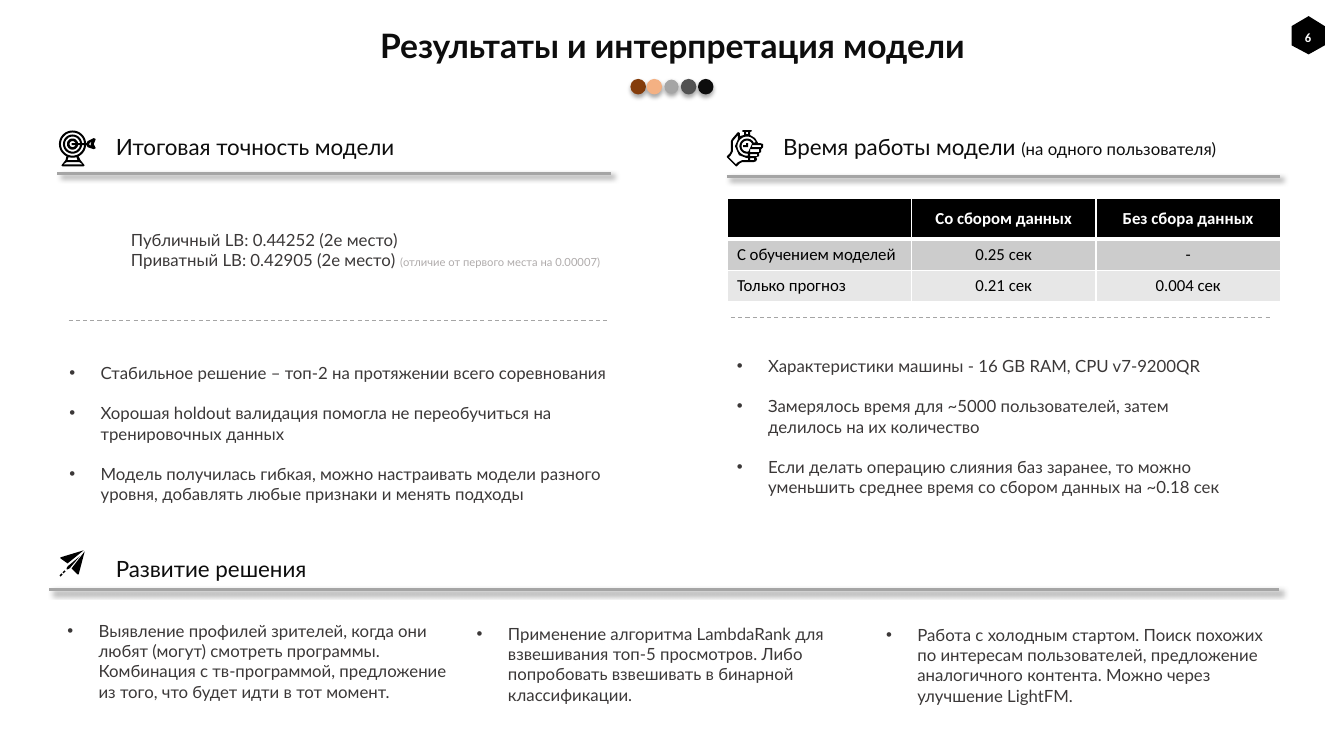
from collections import namedtuple
from math import cos, radians, sin

from lxml.etree import SubElement
from pptx import Presentation
from pptx.dml.color import RGBColor
from pptx.enum.dml import MSO_LINE
from pptx.enum.shapes import MSO_CONNECTOR, MSO_SHAPE
from pptx.enum.text import MSO_ANCHOR as ANCHOR, PP_ALIGN as ALIGN
from pptx.oxml.ns import qn
from pptx.util import Pt

PX = 9144
BLACK = RGBColor(0x00, 0x00, 0x00)
WHITE = RGBColor(0xFF, 0xFF, 0xFF)
INK = RGBColor(0x0D, 0x0D, 0x0D)
BODY = RGBColor(0x3B, 0x38, 0x38)
MUTED = RGBColor(0xAF, 0xAB, 0xAB)
GRAY = RGBColor(0xA5, 0xA5, 0xA5)
DOTS = [RGBColor(0x84, 0x3C, 0x0B), RGBColor(0xF4, 0xB1, 0x83), GRAY,
        RGBColor(0x52, 0x52, 0x52), INK]
ROW_FILLS = [BLACK, RGBColor(0xCC, 0xCC, 0xCC), RGBColor(0xE7, 0xE7, 0xE7)]

Box = namedtuple("Box", "left top width height")


def emu(box):
    """Turn a box in px into EMU lengths."""
    return [length * PX for length in box]


def arc(x, y, radius, start=0, end=350):
    """Return points along an arc, ten degrees or so apart."""
    steps = max(1, abs(end - start) // 10)
    angles = [radians(start + (end - start) * i / steps) for i in range(steps + 1)]
    return [(x + radius * cos(a), y + radius * sin(a)) for a in angles]


def bar(left, top, right, bottom):
    """Return the corners of a rectangle."""
    return [(left, top), (right, top), (right, bottom), (left, bottom)]


TARGET = [
    [arc(13, 14, r) for r in (13.5, 11.5, 9.5, 7.5, 5.5, 3)],
    [[(12, 13), (27, 13), (28, 11), (34, 8), (36, 9), (34, 14), (36, 18), (34, 19),
      (28, 17), (27, 15), (12, 15)], [(32, 11), (29, 14), (32, 16), (31, 14)]],
    [[(7, 26), (19, 26), (21, 30), (25, 35), (24, 36), (3, 36), (2, 35), (6, 30)],
     [(9, 27), (17, 27), (18, 30), (8, 30)], [(7, 32), (20, 32), (23, 34), (4, 34)]],
]
STOPWATCH = [[
    [(16, 0), (15, 1), (16, 2), (17, 2), (17, 5), (13, 6), (13, 3), (11, 2), (5, 9),
     (4, 11), (4, 21), (3, 23), (0, 26), (0, 27), (9, 36), (10, 36), (13, 33),
     (15, 32), (26, 32), (29, 31), (30, 29), (29, 27), (32, 26), (32, 23), (34, 22),
     (34, 19), (36, 17), (36, 14), (33, 13), (31, 13), (28, 8), (23, 5), (23, 2),
     (25, 1), (24, 0)],
    bar(19, 2, 21, 4), bar(25, 15, 34, 17), bar(23, 19, 32, 22), bar(23, 24, 30, 26),
    bar(23, 28, 27, 30),
    arc(20, 16, 9.5, -25, -275) + arc(20, 16, 7.5, -275, -25),
    arc(20, 16, 5.5, 75, 335),
    [(19, 13), (21, 13), (21, 17), (16, 17), (16, 15), (19, 15)],
    [(11, 5), (11, 9), (8, 16), (12, 25), (20, 28), (21, 28), (21, 30), (15, 30),
     (11, 32), (9, 34), (2, 27), (4, 25), (6, 21), (6, 11)],
]]
PLANE = [[
    [(24, -2), (1, 5), (1, 6), (8, 11)],
    [(25, -1), (12, 16), (18, 22), (19, 22)],
    [(20, 4), (8, 14), (7, 16), (7, 17), (8, 17), (10, 16)],
    [(2, 21), (0, 23), (1, 24), (3, 22)],
    [(5, 18), (3, 20), (4, 21), (6, 19)],
]]


def cast_shadow(part, alpha, blur, distance, angle):
    """Give a shape or connector an outer shadow."""
    effects = SubElement(part._element.spPr, qn("a:effectLst"))
    shadow = SubElement(effects, qn("a:outerShdw"), blurRad=str(Pt(blur)),
                        dist=str(Pt(distance)), dir=str(angle * 60000), rotWithShape="0")
    black = SubElement(shadow, qn("a:srgbClr"), val="000000")
    SubElement(black, qn("a:alpha"), val=str(alpha * 1000))


def add_outline(slide, left, top, contours):
    """Draw black closed contours, given in px from left and top."""
    builder = None
    for contour in contours:
        points = [((left + x) * 10, (top + y) * 10) for x, y in contour]
        if builder is None:
            builder = slide.shapes.build_freeform(*points[0], scale=PX / 10)
        else:
            builder.move_to(*points[0])
        builder.add_line_segments(points[1:], close=True)
    outline = builder.convert_to_shape()
    outline.fill.solid()
    outline.fill.fore_color.rgb = BLACK
    outline.line.fill.background()
    outline.shadow.inherit = False
    return outline


def style(run, size, color, bold=False, font="Lato"):
    """Set the font of a run."""
    run.font.name, run.font.size, run.font.bold = font, Pt(size), bold
    run.font.color.rgb = color


def add_text(slide, box, paragraphs, anchor=ANCHOR.TOP, spacing=None):
    """Place paragraphs, each a list of (text, size, color) runs."""
    frame = slide.shapes.add_textbox(*emu(box)).text_frame
    frame.word_wrap, frame.vertical_anchor = True, anchor
    for i, runs in enumerate(paragraphs):
        paragraph = frame.add_paragraph() if i else frame.paragraphs[0]
        paragraph.line_spacing = spacing
        for text, size, color in runs:
            run = paragraph.add_run()
            run.text = text
            style(run, size, color)
    return frame


def add_bullets(slide, box, points):
    """Place a bulleted list with a line's gap between points."""
    frame = add_text(slide, box, [[(point, 12, BODY)] for point in points])
    for i, paragraph in enumerate(frame.paragraphs):
        paragraph.space_before = Pt(14.4 if i else 0)
        props = paragraph._p.get_or_add_pPr()
        props.set("marL", str(31 * PX))
        props.set("indent", str(-31 * PX))
        SubElement(props, qn("a:buFont"), typeface="Arial")
        SubElement(props, qn("a:buChar"), char="•")


def add_rule(slide, left, top, width, dashed=False):
    """Draw a thin dashed divider or a thick shadowed rule."""
    rule = slide.shapes.add_connector(MSO_CONNECTOR.STRAIGHT, left * PX, top * PX,
                                      (left + width) * PX, top * PX)
    rule.line.color.rgb, rule.line.width = GRAY, Pt(0.75 if dashed else 2.25)
    if dashed:
        rule.line.dash_style = MSO_LINE.DASH
        SubElement(rule._element.spPr, qn("a:effectLst"))
    else:
        cast_shadow(rule, 40, 4, 3, 45)


def add_section_header(slide, box, icon, indent, heading):
    """Place icon and heading above a rule on the bottom of the box."""
    for contours in icon:
        add_outline(slide, box.left + indent, box.top - 2, contours)
    title = Box(box.left + indent + 46, box.top, box.width - indent - 46, 32)
    add_text(slide, title, [heading], ANCHOR.MIDDLE, 0.9)
    add_rule(slide, box.left, box.top + box.height, box.width)


def add_slide_title(slide, box, title, number):
    """Place the title, the row of dots under it and the page badge."""
    frame = add_text(slide, box, [[(title, 24, INK)]], spacing=0.9)
    frame.paragraphs[0].alignment = ALIGN.CENTER
    frame.paragraphs[0].runs[0].font.bold = True
    for i, color in enumerate(DOTS):
        place = Box(box.left + 556 + i * 67 // 4, box.top + 55, 14, 14)
        dot = slide.shapes.add_shape(MSO_SHAPE.OVAL, *emu(place))
        dot.fill.solid()
        dot.fill.fore_color.rgb = color
        if color == GRAY:
            dot.line.fill.background()
        else:
            dot.line.color.rgb, dot.line.width = color, Pt(1)
        cast_shadow(dot, 35, 3, 1.8, 90)
    hexagon = [(0, 10), (17, 0), (33, 10), (33, 29), (17, 38), (0, 29)]
    badge = add_outline(slide, 1281, 16, [hexagon]).text_frame
    badge.margin_left = badge.margin_right = badge.margin_bottom = 0
    badge.margin_top, badge.vertical_anchor = 5 * PX, ANCHOR.MIDDLE
    badge.text = number
    badge.paragraphs[0].alignment = ALIGN.CENTER
    style(badge.paragraphs[0].runs[0], 9, WHITE, True, "Calibri")


def add_timing_table(slide, box, rows):
    """Place the table of run times with white cell borders."""
    table = slide.shapes.add_table(len(rows), len(rows[0]), *emu(box)).table
    for r, row in enumerate(rows):
        for c, text in enumerate(row):
            cell = table.cell(r, c)
            cell.vertical_anchor = ANCHOR.MIDDLE
            props = cell._tc.get_or_add_tcPr()
            for side in "LRTB":
                width = 3 if (r, side) in ((0, "B"), (1, "T")) else 1
                border = SubElement(props, qn("a:ln" + side), w=str(Pt(width)))
                SubElement(SubElement(border, qn("a:solidFill")), qn("a:srgbClr"), val="FFFFFF")
            cell.fill.solid()
            cell.fill.fore_color.rgb = ROW_FILLS[r]
            cell.text = text
            paragraph = cell.text_frame.paragraphs[0]
            paragraph.alignment = ALIGN.LEFT if c == 0 else ALIGN.CENTER
            for run in paragraph.runs:
                style(run, 12, BLACK if r else WHITE, r == 0, "Calibri")


def add_accuracy(slide, box):
    """Place the accuracy section."""
    left, top = box.left, box.top
    add_section_header(slide, Box(left, top, box.width, 41), TARGET, 2,
                       [("Итоговая точность модели", 16, INK)])
    add_text(slide, Box(left + 63, top + 92, 486, 50), [
        [("Публичный LB: 0.44252 (2е место)", 12, BODY)],
        [("Приватный LB: 0.42905 (2е место) ", 12, BODY),
         ("(отличие от первого места на 0.00007)", 8, MUTED)]])
    add_rule(slide, left + 11, top + 187, 536, dashed=True)
    add_bullets(slide, Box(left + 2, top + 224, 560, 151), [
        "Стабильное решение – топ-2 на протяжении всего соревнования",
        "Хорошая holdout валидация помогла не переобучиться на тренировочных данных",
        "Модель получилась гибкая, можно настраивать модели разного уровня, "
        "добавлять любые признаки и менять подходы"])


def add_timing(slide, box):
    """Place the run time section."""
    left, top = box.left, box.top
    add_section_header(slide, Box(left, top, box.width, 44), STOPWATCH, 0, [
        ("Время работы модели ", 16, INK), ("(на одного пользователя)", 12, INK)])
    add_timing_table(slide, Box(left, top + 66, box.width, 93), [
        ["", "Со сбором данных", "Без сбора данных"],
        ["С обучением моделей", "0.25 сек", "-"],
        ["Только прогноз", "0.21 сек", "0.004 сек"]])
    add_rule(slide, left + 4, top + 184, 536, dashed=True)
    add_bullets(slide, Box(left, top + 217, 511, 151), [
        "Характеристики машины - 16 GB RAM, CPU v7-9200QR",
        "Замерялось время для ~5000 пользователей, затем делилось на их количество",
        "Если делать операцию слияния баз заранее, то можно уменьшить среднее время "
        "со сбором данных на ~0.18 сек"])


def add_development(slide, box):
    """Place the next steps section with its three columns."""
    add_section_header(slide, Box(box.left, box.top, box.width, 35), PLANE, 10,
                       [("Развитие решения", 16, INK)])
    steps = [
        (61, "Выявление профилей зрителей, когда они любят (могут) смотреть программы. "
             "Комбинация с тв-программой, предложение из того, что будет идти в тот момент."),
        (64, "Применение алгоритма LambdaRank для взвешивания топ-5 просмотров. "
             "Либо попробовать взвешивать в бинарной классификации."),
        (65, "Работа с холодным стартом. Поиск похожих по интересам пользователей, "
             "предложение аналогичного контента. Можно через улучшение LightFM.")]
    for i, (drop, step) in enumerate(steps):
        add_bullets(slide, Box(box.left + 8 + i * 406, box.top + drop, 406, 91), [step])


def main():
    """Build the slide and save it."""
    deck = Presentation()
    deck.slide_width, deck.slide_height = 1333 * PX, 750 * PX
    slide = deck.slides.add_slide(deck.slide_layouts[6])
    add_slide_title(slide, Box(70, 24, 1194, 49), "Результаты и интерпретация модели", "6")
    add_accuracy(slide, Box(57, 131, 549, 375))
    add_timing(slide, Box(721, 131, 549, 368))
    add_development(slide, Box(49, 550, 1220, 156))
    deck.save("out.pptx")


if __name__ == "__main__":
    main()
